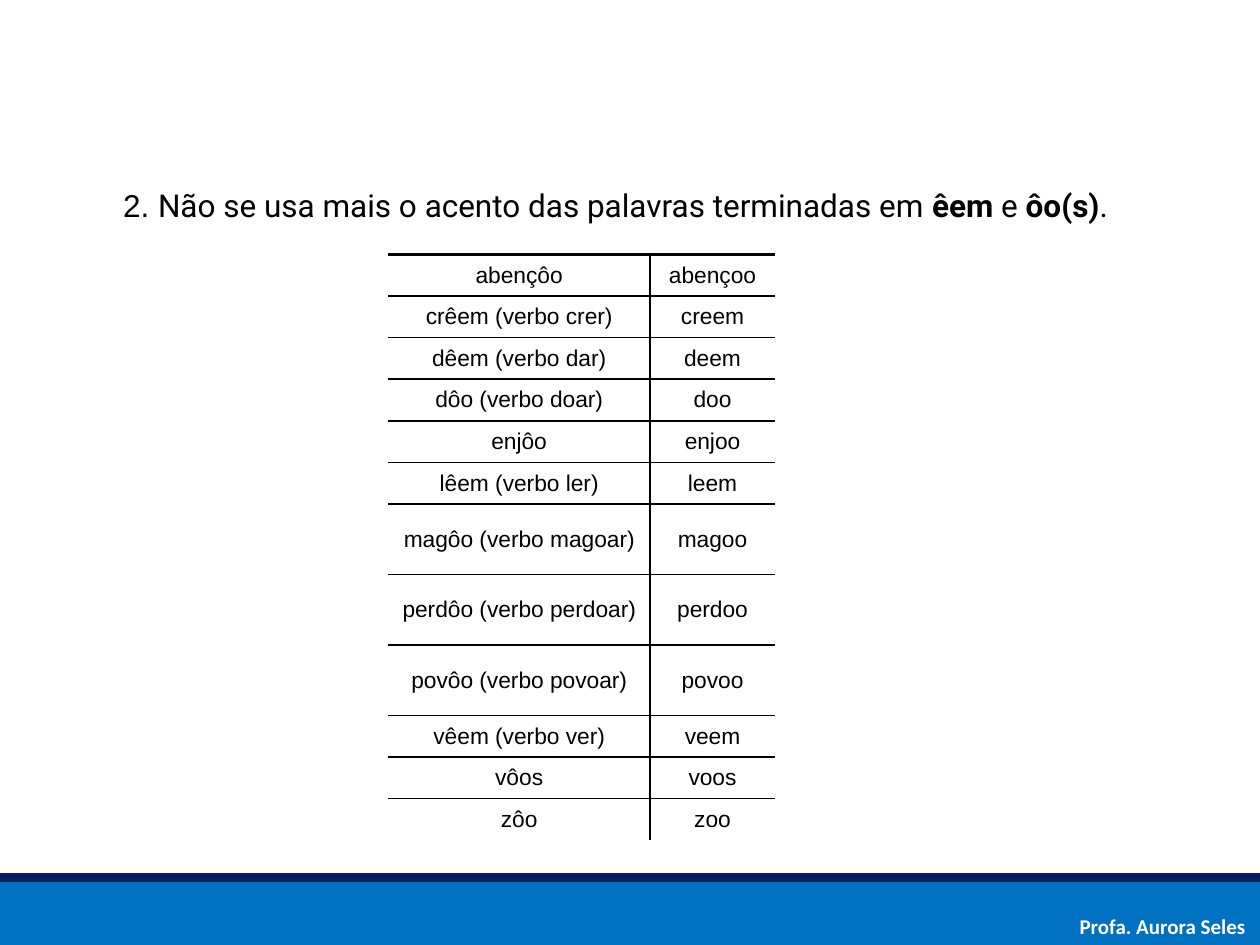
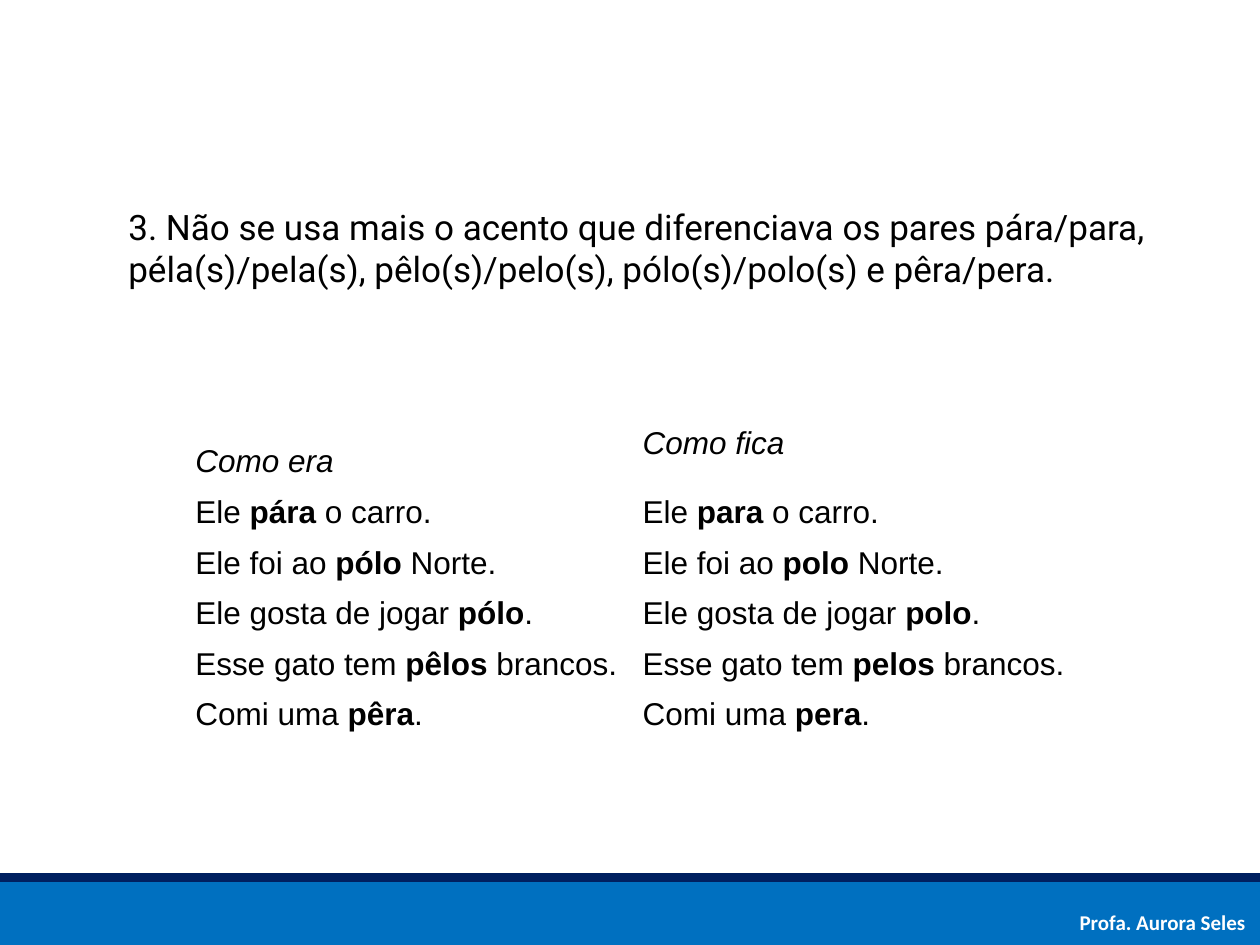
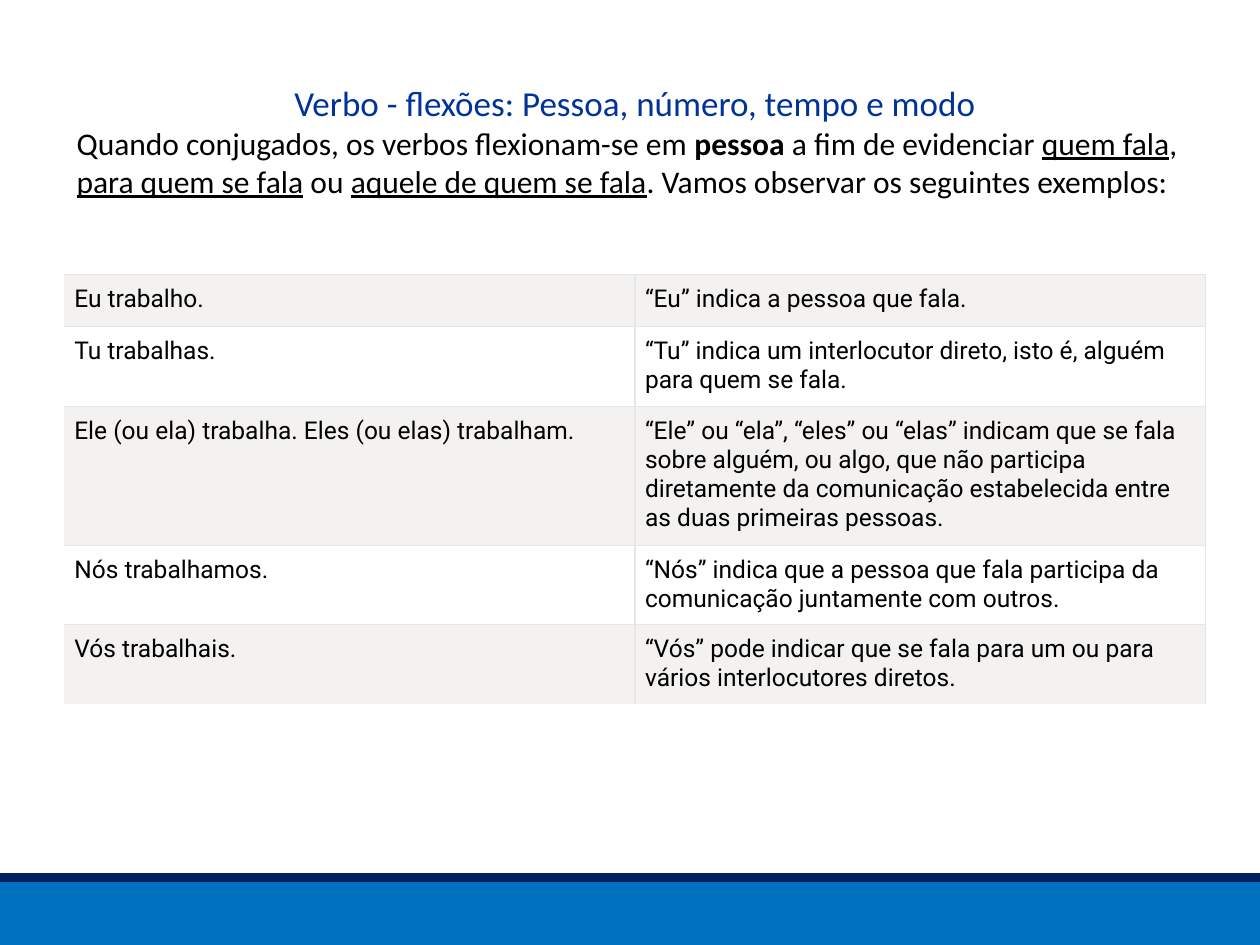
from lxml import etree
from pptx import Presentation
from pptx.dml.color import RGBColor
from pptx.enum.shapes import MSO_SHAPE
from pptx.enum.text import MSO_ANCHOR, PP_ALIGN
from pptx.oxml.ns import qn
from pptx.util import Inches, Pt

SLIDE_WIDTH, SLIDE_HEIGHT = 10, 7.5
BAND_TOP, STRIPE_HEIGHT = 7, 0.07
NO_STYLE = "{2D5ABB26-0587-4C30-8999-92F81FD0307C}"

COLORS = {
    "band": "0070C0",
    "stripe": "002060",
    "title": "003399",
    "text": "000000",
    "light": "FFFFFF",
    "shade": "F3F2F1",
    "grid": "E6E6E6",
}

# In the texts, *words* are bold and _words_ are underlined.
AUTHOR = "Profa. Aurora Seles"

DOUBLE_VOWEL_NUMBER = "2. "
DOUBLE_VOWEL_RULE = "Não se usa mais o acento das palavras terminadas em *êem* e *ôo(s)*."
DOUBLE_VOWEL_WORDS = [
    ("abençôo", "abençoo"),
    ("crêem (verbo crer)", "creem"),
    ("dêem (verbo dar)", "deem"),
    ("dôo (verbo doar)", "doo"),
    ("enjôo", "enjoo"),
    ("lêem (verbo ler)", "leem"),
    ("magôo (verbo magoar)", "magoo"),
    ("perdôo (verbo perdoar)", "perdoo"),
    ("povôo (verbo povoar)", "povoo"),
    ("vêem (verbo ver)", "veem"),
    ("vôos", "voos"),
    ("zôo", "zoo"),
]

PAIRS_RULE = (
    "3. Não se usa mais o acento que diferenciava os pares pára/para, "
    "péla(s)/pela(s), pêlo(s)/pelo(s), pólo(s)/polo(s) e pêra/pera."
)
PAIRS_HEADER = ("Como era", "Como fica")
PAIRS_SENTENCES = [
    ("Ele *{}* o carro.", "pára", "para"),
    ("Ele foi ao *{}* Norte.", "pólo", "polo"),
    ("Ele gosta de jogar *{}*.", "pólo", "polo"),
    ("Esse gato tem *{}* brancos.", "pêlos", "pelos"),
    ("Comi uma *{}*.", "pêra", "pera"),
]

VERB_TITLE = "Verbo - flexões: Pessoa, número, tempo e modo"
VERB_INTRO = (
    "Quando conjugados, os verbos flexionam-se em *pessoa* a fim de evidenciar "
    "_quem fala_, _para quem se fala_ ou _aquele de quem se fala_. "
    "Vamos observar os seguintes exemplos:"
)
VERB_EXAMPLES = [
    ("Eu trabalho.", "“Eu” indica a pessoa que fala."),
    ("Tu trabalhas.",
     "“Tu” indica um interlocutor direto, isto é, alguém para quem se fala."),
    ("Ele (ou ela) trabalha. Eles (ou elas) trabalham.",
     "“Ele” ou “ela”, “eles” ou “elas” indicam que se fala sobre alguém, ou algo, "
     "que não participa diretamente da comunicação estabelecida entre as duas "
     "primeiras pessoas."),
    ("Nós trabalhamos.",
     "“Nós” indica que a pessoa que fala participa da comunicação juntamente com outros."),
    ("Vós trabalhais.",
     "“Vós” pode indicar que se fala para um ou para vários interlocutores diretos."),
]


def text_format(name, size, color="text", **extra):
    return {"name": name, "size": Pt(size), "color": color, **extra}


FORMATS = {
    "author": text_format("Calibri", 12, "light", bold=True),
    "number": text_format("Arial", 18),
    "rule": text_format("Roboto", 18),
    "pairs rule": text_format("Roboto", 20),
    "words": text_format("Arial", 13),
    "header": text_format("Arial", 18, italic=True),
    "sentence": text_format("Arial", 18),
    "title": text_format("Calibri", 20, "title"),
    "intro": text_format("Calibri", 18),
    "example": text_format("Roboto", 14),
}


def add_run(paragraph, text, format_name, **extra):
    run = paragraph.add_run()
    run.text = text
    values = {**FORMATS[format_name], **extra}
    run.font.color.rgb = RGBColor.from_string(COLORS[values.pop("color")])
    for attribute, value in values.items():
        setattr(run.font, attribute, value)


def write(paragraph, text, format_name, alignment=PP_ALIGN.LEFT):
    """Add the text as runs, turning the * and _ marks into font settings."""
    paragraph.alignment = alignment
    for bold_index, part in enumerate(text.split("*")):
        for line_index, piece in enumerate(part.split("_")):
            if piece:
                marks = {"bold": bold_index % 2, "underline": line_index % 2}
                extra = {mark: True for mark, on in marks.items() if on}
                add_run(paragraph, piece, format_name, **extra)


def add_text_box(slide, left, top, width, height, wrap=True, anchor=MSO_ANCHOR.TOP):
    shape = slide.shapes.add_textbox(*map(Inches, (left, top, width, height)))
    shape.text_frame.word_wrap = wrap
    shape.text_frame.vertical_anchor = anchor
    return shape.text_frame.paragraphs[0]


def add_band(slide, top, height, color):
    shape = slide.shapes.add_shape(
        MSO_SHAPE.RECTANGLE, 0, Inches(top), Inches(SLIDE_WIDTH), Inches(height))
    shape.shadow.inherit = False
    shape.fill.solid()
    shape.fill.fore_color.rgb = RGBColor.from_string(COLORS[color])
    shape.line.fill.background()


def add_slide(presentation):
    slide = presentation.slides.add_slide(presentation.slide_layouts[6])
    add_band(slide, BAND_TOP, SLIDE_HEIGHT - BAND_TOP, "band")
    add_band(slide, BAND_TOP - STRIPE_HEIGHT, STRIPE_HEIGHT, "stripe")
    return slide


def add_author(slide, top):
    write(add_text_box(slide, 8.47, top, 1.53, 0.3, wrap=False), AUTHOR, "author")


def add_plain_table(slide, left, top, columns, rows):
    shape = slide.shapes.add_table(
        len(rows), len(columns),
        *map(Inches, (left, top, sum(columns), sum(rows))))
    table = shape.table
    table.first_row = table.horz_banding = False
    shape._element.find(".//" + qn("a:tableStyleId")).text = NO_STYLE
    for column, width in zip(table.columns, columns):
        column.width = Inches(width)
    for row, height in zip(table.rows, rows):
        row.height = Inches(height)
    return table


def fill_cell(cell, text, format_name, alignment=PP_ALIGN.LEFT,
              anchor=MSO_ANCHOR.MIDDLE, margins=(0.1, 0.05), fill=None):
    write(cell.text_frame.paragraphs[0], text, format_name, alignment)
    cell.vertical_anchor = anchor
    cell.margin_left = cell.margin_right = Inches(margins[0])
    cell.margin_top = cell.margin_bottom = Inches(margins[1])
    if fill:
        cell.fill.solid()
        cell.fill.fore_color.rgb = RGBColor.from_string(COLORS[fill])
    else:
        cell.fill.background()


def add_borders(table, color, width, top_width, right_edge):
    """Rule the table, leaving its left and bottom edges open."""
    last_row, last_column = len(table.rows) - 1, len(table.columns) - 1
    for row_index, row in enumerate(table.rows):
        for column_index, cell in enumerate(row.cells):
            widths = {
                "L": width if column_index else 0,
                "R": width if column_index < last_column or right_edge else 0,
                "T": width if row_index else top_width,
                "B": width if row_index < last_row else 0,
            }
            properties = cell._tc.get_or_add_tcPr()
            drawn = [(side, size) for side, size in widths.items() if size]
            for position, (side, size) in enumerate(drawn):
                line = etree.Element(qn("a:ln" + side), w=str(Pt(size)))
                solid = etree.SubElement(line, qn("a:solidFill"))
                etree.SubElement(solid, qn("a:srgbClr"), val=COLORS[color])
                properties.insert(position, line)


def build_double_vowels(presentation):
    slide = add_slide(presentation)
    paragraph = add_text_box(
        slide, 0.8, 1.43, 8.17, 0.4, wrap=False, anchor=MSO_ANCHOR.MIDDLE)
    write(paragraph, DOUBLE_VOWEL_NUMBER, "number")
    write(paragraph, DOUBLE_VOWEL_RULE, "rule", PP_ALIGN.CENTER)
    heights = [0.56 if "oar)" in old and old[0] in "mp" else 0.33
               for old, new in DOUBLE_VOWEL_WORDS]
    table = add_plain_table(slide, 3.08, 2.02, [2.08, 0.99], heights)
    for row, words in zip(table.rows, DOUBLE_VOWEL_WORDS):
        for cell, word in zip(row.cells, words):
            fill_cell(cell, word, "words", PP_ALIGN.CENTER)
    add_borders(table, "text", 1, top_width=2.25, right_edge=False)
    add_author(slide, 7.2)


def build_pairs(presentation):
    slide = add_slide(presentation)
    paragraph = add_text_box(slide, 0.92, 1.58, 8.98, 0.77, anchor=MSO_ANCHOR.MIDDLE)
    write(paragraph, PAIRS_RULE, "pairs rule")
    heights = [0.7] + [0.4] * len(PAIRS_SENTENCES)
    table = add_plain_table(slide, 1.45, 3.17, [3.55, 3.55], heights)
    for column, heading in enumerate(PAIRS_HEADER):
        fill_cell(table.cell(0, column), heading, "header")
    table.cell(0, 0).margin_top = Inches(0.33)
    for row, (sentence, *words) in enumerate(PAIRS_SENTENCES, start=1):
        for column, word in enumerate(words):
            fill_cell(table.cell(row, column), sentence.format(word), "sentence")
    add_author(slide, 7.17)


def build_verbs(presentation):
    slide = add_slide(presentation)
    paragraph = add_text_box(slide, 0.51, 0.6, 9.06, 2.01)
    write(paragraph, VERB_TITLE, "title", PP_ALIGN.CENTER)
    write(slide.shapes[-1].text_frame.add_paragraph(), VERB_INTRO, "intro")
    table = add_plain_table(
        slide, 0.51, 2.18, [4.53, 4.53], [0.41, 0.64, 1.1, 0.63, 0.63])
    for index, (row, texts) in enumerate(zip(table.rows, VERB_EXAMPLES)):
        for cell, text in zip(row.cells, texts):
            fill_cell(cell, text, "example", anchor=MSO_ANCHOR.TOP,
                      margins=(0.08, 0.08), fill="light" if index % 2 else "shade")
    add_borders(table, "grid", 0.75, top_width=0.75, right_edge=True)


def main():
    presentation = Presentation()
    presentation.slide_width = Inches(SLIDE_WIDTH)
    presentation.slide_height = Inches(SLIDE_HEIGHT)
    build_double_vowels(presentation)
    build_pairs(presentation)
    build_verbs(presentation)
    presentation.save("out.pptx")


if __name__ == "__main__":
    main()
